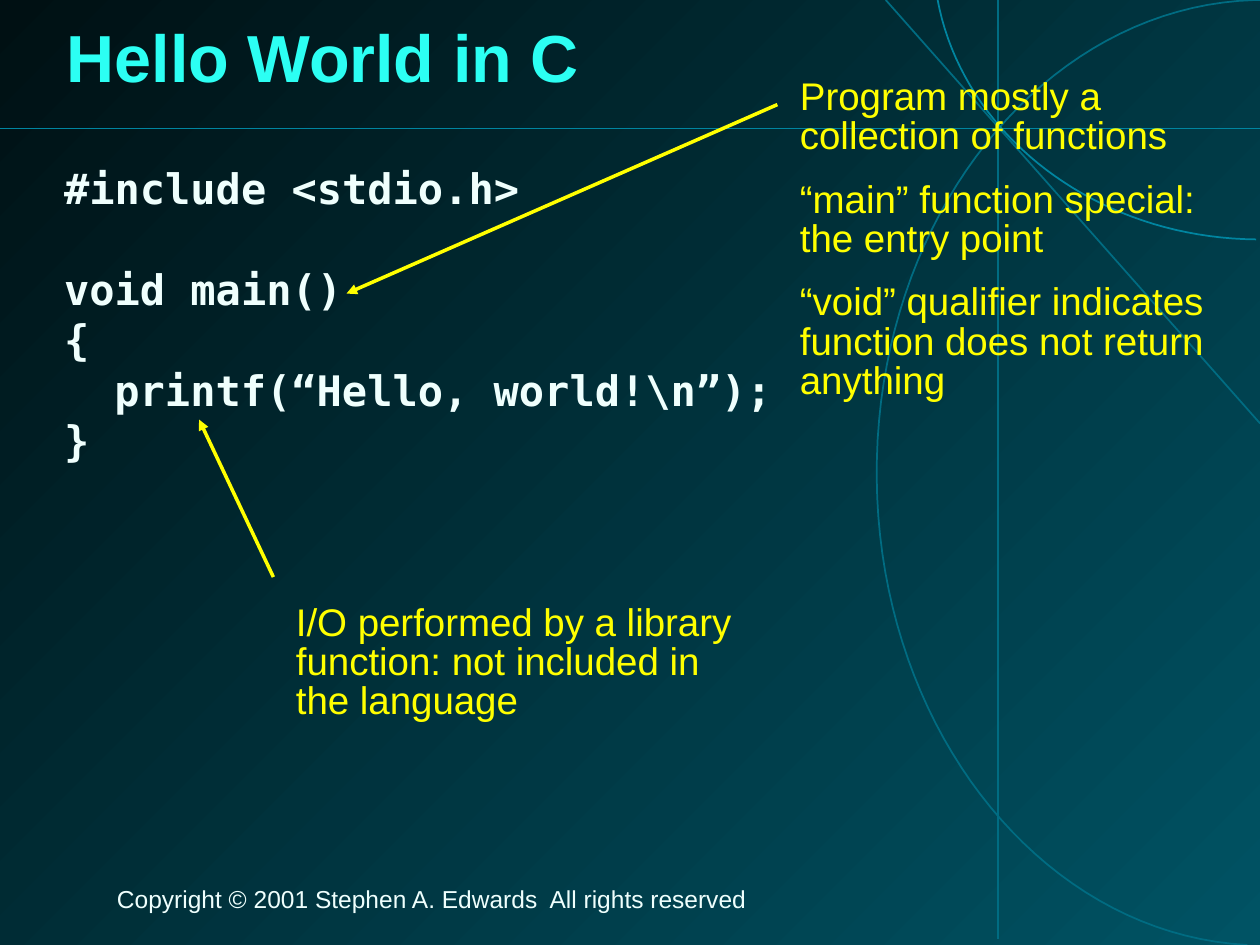
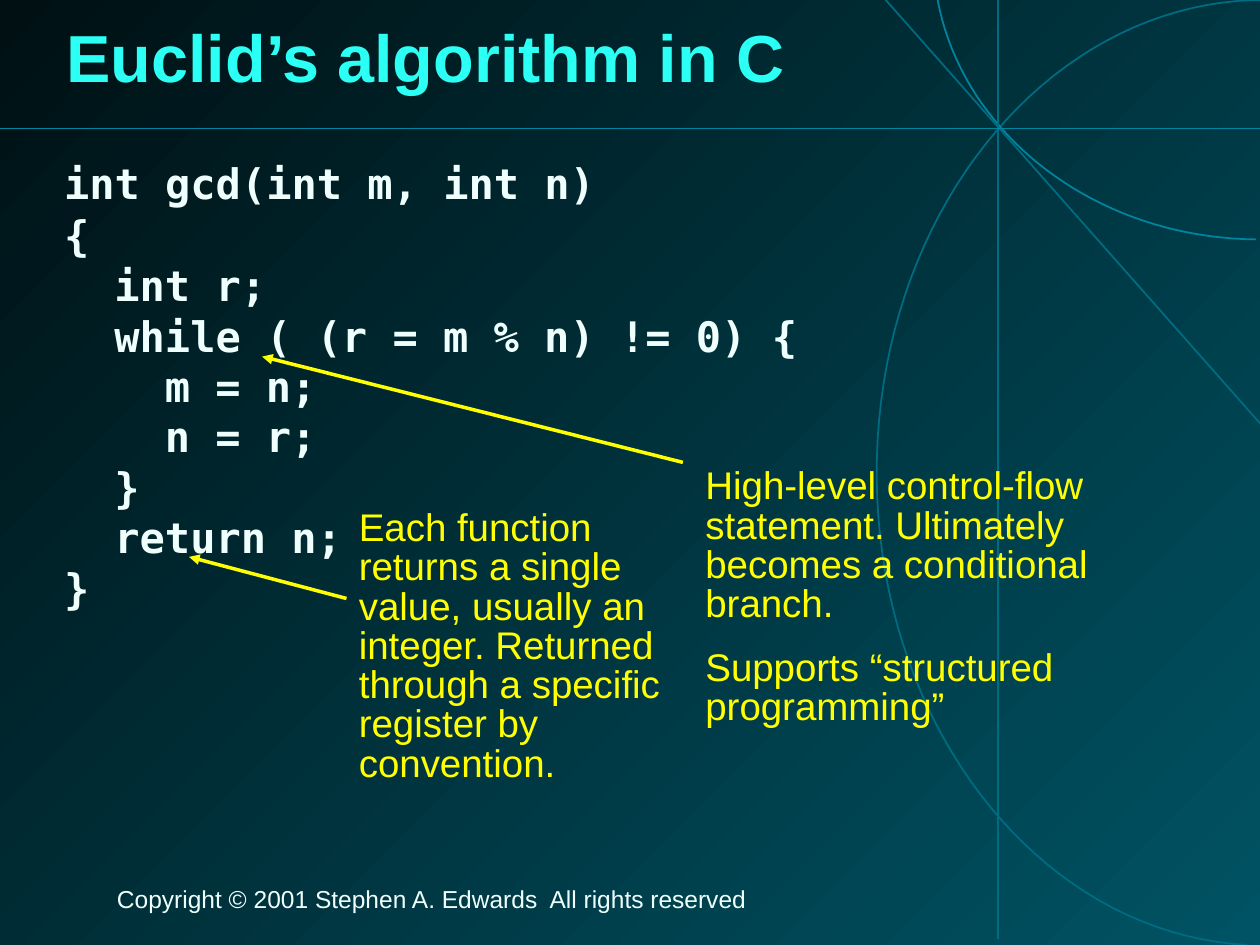
import pptx
import pptx.dml.color
import pptx.enum.shapes
import pptx.enum.text
import pptx.oxml
import pptx.oxml.ns
import pptx.util
from pptx.util import Inches

RGBColor = pptx.dml.color.RGBColor
TEAL = RGBColor(0x00, 0x53, 0x64)
NIGHT = RGBColor(0x00, 0x10, 0x13)
DIM_LINE = RGBColor(0x00, 0x6C, 0x82)
BRIGHT_LINE = RGBColor(0x00, 0x85, 0xA0)
CYAN = RGBColor(0x2C, 0xFF, 0xF3)
PALE = RGBColor(0xEF, 0xFF, 0xFD)
YELLOW = RGBColor(0xFF, 0xFF, 0x00)

SANS = "Arial"
MONO = "DejaVu Sans Mono"
CODE_INDENT = 0.4
CODE_LINE_HEIGHT = 28.9
CURVE_STEPS = 40

LARGE_ARC = [
    [(9.9, 7.5), (8.22, 7.41), (6.91, 5.69), (6.96, 3.64)],
    [(6.96, 3.64), (7.01, 1.59), (8.4, -0.03), (10.08, 0)],
]
SMALL_ARC = [[(9.97, 1.9), (8.71, 1.89), (7.64, 1.08), (7.44, -0.01)]]

# Code lines are (indent level, text); None stands for a one-line gap.
HELLO_CODE = [
    (0, "#include <stdio.h>"),
    None,
    (0, "void main()"),
    (0, "{"),
    (1, "printf(“Hello, world!\\n”);"),
    (0, "}"),
]
GCD_CODE = [
    (0, "int gcd(int m, int n)"),
    (0, "{"),
    (1, "int r;"),
    (1, "while ( (r = m % n) != 0) {"),
    (2, "m = n;"),
    (2, "n = r;"),
    (1, "}"),
    (1, "return n;"),
    (0, "}"),
]


def drawing_element(tag, **attributes):
    element = pptx.oxml.parse_xml(
        f'<a:{tag} xmlns:a="http://schemas.openxmlformats.org/drawingml/2006/main"/>')
    for name, value in attributes.items():
        element.set(name, value)
    return element


def curve_points(curve):
    """Sample a cubic Bézier curve as points in EMU."""
    for step in range(CURVE_STEPS + 1):
        t = step / CURVE_STEPS
        weights = ((1 - t) ** 3, 3 * t * (1 - t) ** 2, 3 * t ** 2 * (1 - t), t ** 3)
        yield tuple(Inches(sum(weight * point[axis] for weight, point in zip(weights, curve)))
                    for axis in (0, 1))


class LectureDeck:
    def __init__(self):
        self.presentation = pptx.Presentation()
        self.presentation.slide_width = Inches(10)
        self.presentation.slide_height = Inches(7.5)
        self.slide = None

    def add_slide(self, title):
        self.slide = self.presentation.slides.add_slide(self.presentation.slide_layouts[6])
        self.background()
        self.arc(LARGE_ARC, DIM_LINE)
        self.arc(SMALL_ARC, BRIGHT_LINE)
        self.line((10, 3.36), (7.03, 0), DIM_LINE)
        self.line((7.92, 0), (7.92, 7.45), DIM_LINE)
        self.line((0, 1.02), (10, 1.02), BRIGHT_LINE)
        self.footer()
        self.title(title)

    def background(self):
        fill = self.slide.background.fill
        fill.gradient()
        fill.gradient_angle = 135
        for stop, color in zip(fill.gradient_stops, (TEAL, NIGHT)):
            stop.color.rgb = color

    def arc(self, curves, color):
        points = [point for curve in curves for point in curve_points(curve)]
        builder = self.slide.shapes.build_freeform(*points[0])
        builder.add_line_segments(points[1:], close=False)
        shape = builder.convert_to_shape()
        shape.shadow.inherit = False
        shape.fill.background()
        shape.line.color.rgb = color
        shape.line.width = pptx.util.Pt(1)

    def line(self, start, end, color, width=1):
        connector = self.slide.shapes.add_connector(
            pptx.enum.shapes.MSO_CONNECTOR.STRAIGHT,
            *(Inches(value) for value in (*start, *end)))
        connector.line.color.rgb = color
        connector.line.width = pptx.util.Pt(width)
        connector._element.spPr.append(drawing_element("effectLst"))
        return connector

    def arrow(self, start, end):
        connector = self.line(start, end, YELLOW, 2)
        connector.line._get_or_add_ln().append(drawing_element("tailEnd", type="triangle"))

    def text(self, box, lines, size, color, font=SANS, bold=False,
             line_spacing=None, space_before=None):
        """Add a text box with one paragraph per line and return its text frame."""
        shape = self.slide.shapes.add_textbox(*(Inches(value) for value in box))
        text_frame = shape.text_frame
        text_frame.word_wrap = True
        text_frame.text = "\n".join(lines)
        for paragraph in text_frame.paragraphs:
            paragraph.line_spacing = line_spacing
            if space_before is not None:
                paragraph.space_before = pptx.util.Pt(space_before)
            for run in paragraph.runs:
                run.font.size = pptx.util.Pt(size)
                run.font.color.rgb = color
                run.font.name = font
                run.font.bold = bold
        return text_frame

    def title(self, title):
        text_frame = self.text((0.43, 0, 9.21, 0.98), [title], 38, CYAN,
                               bold=True, line_spacing=0.87)
        text_frame.vertical_anchor = pptx.enum.text.MSO_ANCHOR.MIDDLE
        shadow = drawing_element("outerShdw", dist="35921", dir="2700000", algn="ctr")
        shadow.append(drawing_element("srgbClr", val="000000"))
        effects = drawing_element("effectLst")
        effects.append(shadow)
        properties = text_frame.paragraphs[0].runs[0].font._element
        properties.find(pptx.oxml.ns.qn("a:solidFill")).addnext(effects)

    def footer(self):
        self.text((0.83, 7, 8.08, 0.3),
                  ["Copyright © 2001 Stephen A. Edwards  All rights reserved"],
                  14, PALE, line_spacing=0.85, space_before=8.8)

    def note(self, box, paragraphs):
        self.text(box, paragraphs, 22, YELLOW, line_spacing=0.85, space_before=13.8)

    def code(self, entries):
        lines = [entry for entry in entries if entry]
        text_frame = self.text((0.41, 1.24, 9.12, 5.59), [text for _, text in lines],
                               24, PALE, font=MONO, bold=True, space_before=0)
        for (level, _), paragraph in zip(lines, text_frame.paragraphs):
            paragraph._p.get_or_add_pPr().set("marL", str(Inches(level * CODE_INDENT)))
        for index, entry in enumerate(entries):
            if entry is None:
                following = text_frame.paragraphs[lines.index(entries[index + 1])]
                following.space_before = pptx.util.Pt(CODE_LINE_HEIGHT)
        return text_frame


def hello_world_slide(deck):
    deck.add_slide("Hello World in C")
    deck.code(HELLO_CODE)
    deck.note((6.25, 0.58, 3.58, 2.66), [
        "Program mostly a collection of functions",
        "“main” function special: the entry point",
        "“void” qualifier indicates function does not return anything",
    ])
    deck.arrow((6.17, 0.83), (2.75, 2.33))
    deck.arrow((2.17, 4.58), (1.58, 3.33))
    deck.note((2.25, 4.75, 3.75, 1.04),
              ["I/O performed by a library function: not included in the language"])


def euclid_slide(deck):
    deck.add_slide("Euclid’s algorithm in C")
    signature = deck.code(GCD_CODE).paragraphs[0]
    signature.line_spacing = 0.93
    signature.space_before = pptx.util.Pt(15)
    deck.arrow((5.42, 3.67), (2.08, 2.83))
    deck.note((5.5, 3.67, 3.92, 2.16), [
        "High-level control-flow statement. Ultimately becomes a conditional branch.",
        "Supports “structured programming”",
    ])
    deck.arrow((2.75, 4.75), (1.5, 4.42))
    deck.note((2.75, 4, 2.83, 2.28), [
        "Each function returns a single value, usually an integer. "
        "Returned through a specific register by convention.",
    ])


def main():
    deck = LectureDeck()
    hello_world_slide(deck)
    euclid_slide(deck)
    deck.presentation.save("out.pptx")


if __name__ == "__main__":
    main()
